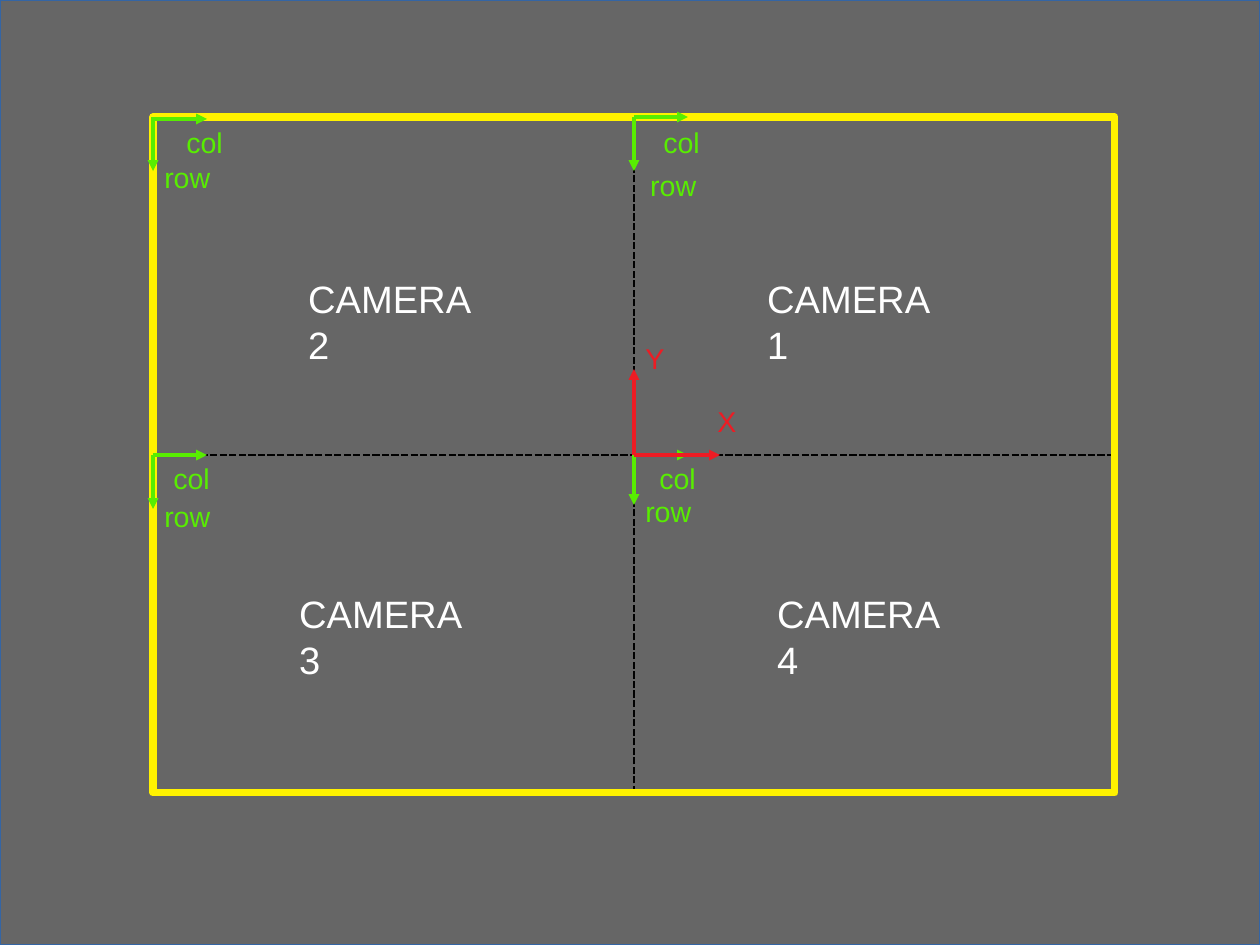
from lxml import etree
from pptx import Presentation
from pptx.dml.color import RGBColor
from pptx.enum.dml import MSO_LINE
from pptx.enum.shapes import MSO_CONNECTOR, MSO_SHAPE
from pptx.oxml.ns import qn
from pptx.util import Pt

PX = 8000
RECTANGLE = MSO_SHAPE.RECTANGLE
STRAIGHT = MSO_CONNECTOR.STRAIGHT
DASHED = MSO_LINE.SQUARE_DOT
TOP, LEFT, BOTTOM, RIGHT = range(4)
GREEN, RED, WHITE = "58ED01", "ED1C24", "FFFFFF"

WIDTH, HEIGHT = 1260, 945
FIELD_X, FIELD_Y, FIELD_W, FIELD_H = 153, 117, 962, 676
CENTER_X = FIELD_X + FIELD_W // 2
CENTER_Y = FIELD_Y + FIELD_H // 2
PIXEL_AXIS, WORLD_AXIS = 54, 86

prs = Presentation()
prs.slide_width = WIDTH * PX
prs.slide_height = HEIGHT * PX
slide = prs.slides.add_slide(prs.slide_layouts[6])
shapes = slide.shapes


def rgb(value):
    return RGBColor.from_string(value)


def add_line(x1, y1, x2, y2, color, width):
    line = shapes.add_connector(STRAIGHT, x1 * PX, y1 * PX, x2 * PX, y2 * PX)
    line.line.color.rgb = rgb(color)
    line.line.width = Pt(width)
    etree.SubElement(line._element.spPr, qn("a:effectLst"))
    return line


ground = shapes.add_shape(RECTANGLE, 0, 0, WIDTH * PX, HEIGHT * PX)
ground.shadow.inherit = False
ground.fill.solid()
ground.fill.fore_color.rgb = rgb("666666")
ground.line.color.rgb = rgb("3465A4")
ground.line.width = 0

dividers = [
    (add_line(FIELD_X, CENTER_Y, FIELD_X + FIELD_W, CENTER_Y, "000000", 1.5), LEFT, RIGHT),
    (add_line(CENTER_X, FIELD_Y + FIELD_H, CENTER_X, FIELD_Y, "000000", 1.5), BOTTOM, TOP),
]

field = shapes.add_shape(RECTANGLE, FIELD_X * PX, FIELD_Y * PX, FIELD_W * PX, FIELD_H * PX)
field.shadow.inherit = False
field.fill.background()
field.line.color.rgb = rgb("FFF200")
field.line.width = Pt(4.5)

for divider, start, end in dividers:
    divider.line.dash_style = DASHED
    divider.begin_connect(field, start)
    divider.end_connect(field, end)

axes = [
    (FIELD_X, FIELD_Y, 0, PIXEL_AXIS, GREEN),
    (FIELD_X, FIELD_Y + 2, PIXEL_AXIS, 0, GREEN),
    (FIELD_X, CENTER_Y, 0, PIXEL_AXIS, GREEN),
    (FIELD_X, CENTER_Y, PIXEL_AXIS, 0, GREEN),
    (CENTER_X, FIELD_Y, 0, PIXEL_AXIS, GREEN),
    (CENTER_X, FIELD_Y, PIXEL_AXIS, 0, GREEN),
    (CENTER_X, CENTER_Y - 4, 0, PIXEL_AXIS, GREEN),
    (CENTER_X, CENTER_Y, PIXEL_AXIS, 0, GREEN),
    (CENTER_X, CENTER_Y, WORLD_AXIS, 0, RED),
    (CENTER_X, CENTER_Y, 0, -WORLD_AXIS, RED),
]
for x, y, dx, dy, color in axes:
    axis = add_line(x, y, x + dx, y + dy, color, 2.3)
    etree.SubElement(axis.line._get_or_add_ln(), qn("a:tailEnd"), type="triangle")

label_groups = [
    (215, 54, 24, WHITE, [
        ("CAMERA 1", 756, 270), ("CAMERA 2", 297, 270),
        ("CAMERA 3", 288, 585), ("CAMERA 4", 766, 585),
    ]),
    (41, 43, 18, RED, [("X", 706, 398), ("Y", 634, 335)]),
    (59, 43, 18, GREEN, [
        ("col", 175, 119), ("col", 652, 119), ("col", 162, 455), ("col", 648, 455),
    ]),
    (69, 43, 18, GREEN, [
        ("row", 153, 154), ("row", 639, 162), ("row", 153, 493), ("row", 634, 488),
    ]),
]
for width, height, size, color, labels in label_groups:
    for text, x, y in labels:
        label = shapes.add_textbox(x * PX, y * PX, width * PX, height * PX)
        label.text_frame.word_wrap = False
        paragraph = label.text_frame.paragraphs[0]
        paragraph.text = text
        paragraph.font.name = "Arial"
        paragraph.font.size = Pt(size)
        paragraph.font.color.rgb = rgb(color)

prs.save("out.pptx")
